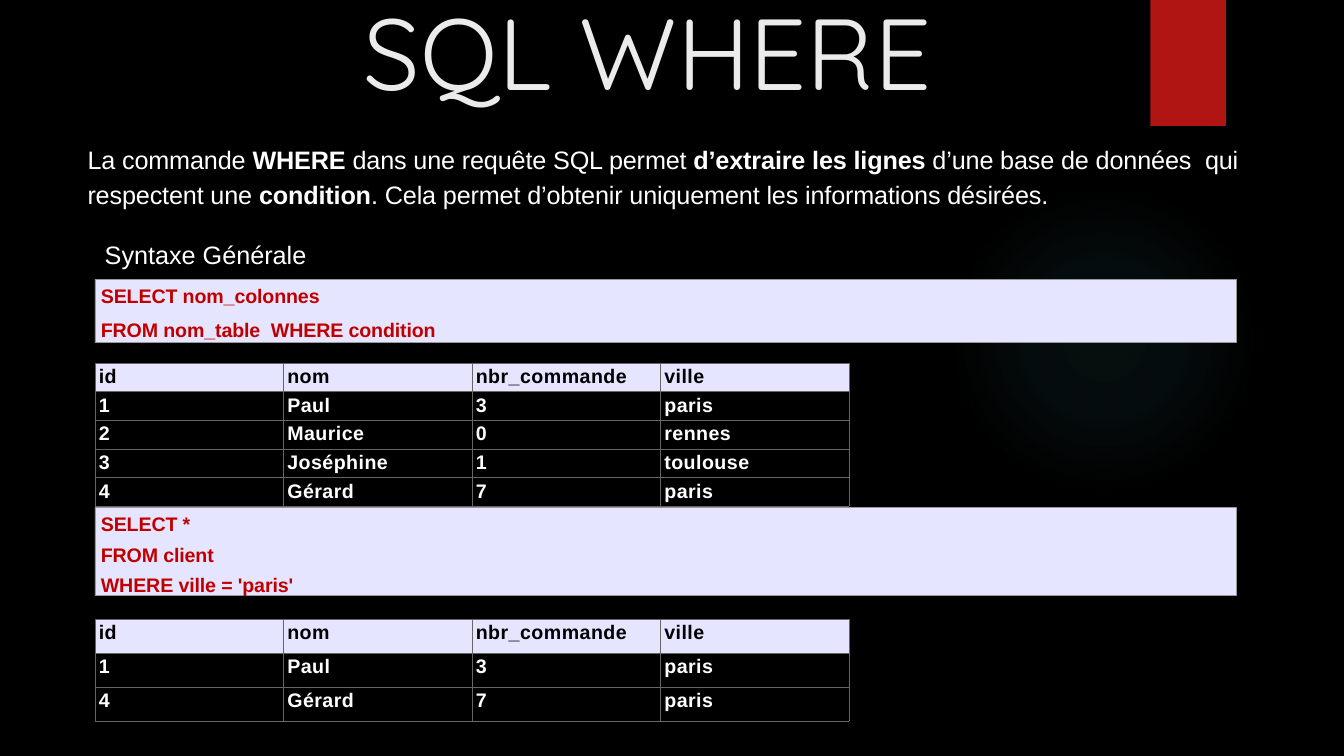
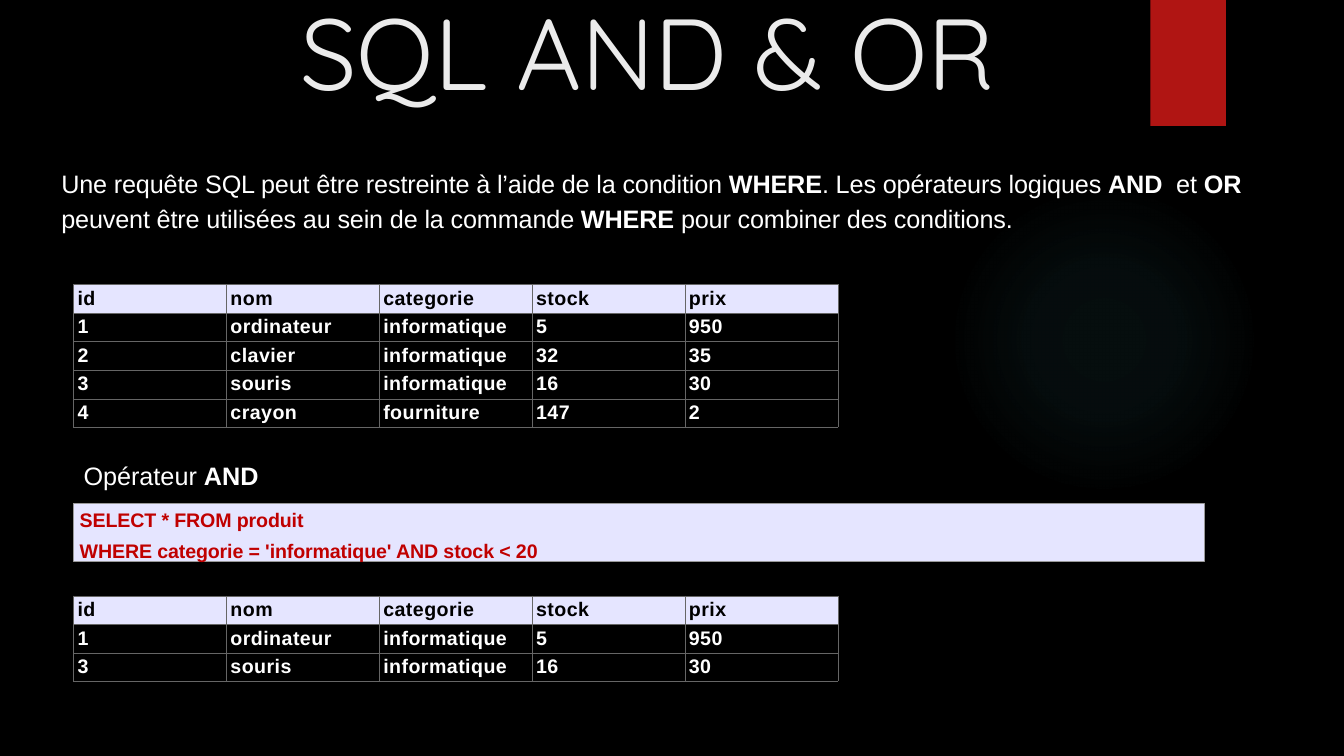
from dataclasses import dataclass

from pptx import Presentation
from pptx import util as u
from pptx.dml.color import RGBColor
from pptx.enum import shapes, text
from pptx.oxml import ns, parse_xml


@dataclass(frozen=True)
class Theme:
    """Colours, fonts and type sizes of the deck."""

    background: str = "000000"
    title: str = "EBEBEB"
    prose: str = "FFFFFF"
    code: str = "C00000"
    header: str = "000000"
    panel: str = "E5E5FF"
    panel_line: str = "999999"
    grid: str = "666666"
    band: str = "B01513"
    glow: str = "50B9C1"
    title_font: str = "Quicksand"
    body_font: str = "Arial"
    title_size: int = 72
    prose_size: int = 18
    code_size: int = 14
    hairline: float = 0.25


T = Theme()
A = ns.nsdecls("a")


def rgb(value):
    """Turn a hex string into a colour."""
    return RGBColor.from_string(value)


def inches(*values):
    """Convert a row of numbers to lengths."""
    return [u.Inches(v) for v in values]


def set_margins(frame, left, top):
    """Set the left and top margins and clear the other two."""
    frame.margin_left, frame.margin_top = inches(left, top)
    frame.margin_right = frame.margin_bottom = 0


def add_runs(p, marked, size, color, bold=False, spacing=0):
    """Write text run by run; parts between ** are bold."""
    for i, part in enumerate(marked.split("**")):
        if not part:
            continue
        r = p.add_run()
        r.text = part
        r.font.name = T.body_font
        r.font.size = u.Pt(size)
        r.font.bold = bold or i % 2 == 1
        r.font.color.rgb = rgb(color)
        r.font._element.set("spc", str(round(spacing * 100)))


def add_plain_shape(s, kind, box):
    """Add a preset shape without outline or shadow."""
    sp = s.shapes.add_shape(kind, *inches(*box))
    sp.shadow.inherit = False
    sp.line.fill.background()
    return sp


def fill_glow(sp):
    """Give a shape a faint round glow."""
    stops = "".join(
        f'<a:gs pos="{pos * 1000}"><a:srgbClr val="{T.glow}">'
        f'<a:alpha val="{alpha * 1000}"/></a:srgbClr></a:gs>'
        for pos, alpha in ((0, 7), (36, 6), (69, 0))
    )
    sp.fill.background()
    props = sp.element.spPr
    props.replace(
        props.find(ns.qn("a:noFill")),
        parse_xml(
            f'<a:gradFill {A}><a:gsLst>{stops}</a:gsLst><a:path path="circle">'
            '<a:fillToRect l="50000" t="50000" r="50000" b="50000"/>'
            "</a:path></a:gradFill>"
        ),
    )


def style_master(prs, layout, s):
    """Put the background, glow, band and title style on the master."""
    master = prs.slide_master
    master.background.fill.solid()
    master.background.fill.fore_color.rgb = rgb(T.background)

    glow = add_plain_shape(s, shapes.MSO_SHAPE.OVAL, (9.41, 1.83, 3.08, 3.08))
    fill_glow(glow)
    band = add_plain_shape(s, shapes.MSO_SHAPE.RECTANGLE, (11.41, 0, 0.75, 1.25))
    band.fill.solid()
    band.fill.fore_color.rgb = rgb(T.band)
    for i, sp in enumerate((glow, band)):
        sp.element.nvSpPr.cNvPr.set("id", str(100 + i))
        master.shapes.element.insert(2 + i, sp.element)

    style = master.element.find(
        "/".join(map(ns.qn, ("p:txStyles", "p:titleStyle", "a:lvl1pPr", "a:defRPr")))
    )
    style.set("sz", str(T.title_size * 100))
    style.find(ns.qn("a:latin")).set("typeface", T.title_font)
    style.replace(
        style.find(ns.qn("a:solidFill")),
        parse_xml(f'<a:solidFill {A}><a:srgbClr val="{T.title}"/></a:solidFill>'),
    )
    title = layout.placeholders[0]
    title.left, title.top, title.width, title.height = inches(1.47, 0.21, 9.91, 0.94)
    title.text_frame.vertical_anchor = text.MSO_ANCHOR.BOTTOM
    title.text_frame.auto_size = text.MSO_AUTO_SIZE.NONE


def add_title(s, wording):
    """Fill the title placeholder."""
    s.shapes.title.text_frame.paragraphs[0].add_run().text = wording


def add_prose(s, box, marked, line_spacing=1.0, spacing=0):
    """Add a paragraph of white text in a box."""
    tf = s.shapes.add_textbox(*inches(*box)).text_frame
    tf.word_wrap = True
    p = tf.paragraphs[0]
    p.line_spacing = line_spacing
    add_runs(p, marked, T.prose_size, T.prose, spacing=spacing)


def add_code(s, box, lines, gap=5.1):
    """Add a lavender panel holding lines of SQL."""
    sp = add_plain_shape(s, shapes.MSO_SHAPE.RECTANGLE, box)
    sp.fill.solid()
    sp.fill.fore_color.rgb = rgb(T.panel)
    sp.line.color.rgb = rgb(T.panel_line)
    sp.line.width = u.Pt(T.hairline)
    tf = sp.text_frame
    tf.word_wrap = True
    tf.vertical_anchor = text.MSO_ANCHOR.TOP
    set_margins(tf, 0.06, 0.05)
    for i, line in enumerate(lines):
        p = tf.add_paragraph() if i else tf.paragraphs[0]
        p.alignment = text.PP_ALIGN.LEFT
        if i:
            p.space_before = u.Pt(gap)
        add_runs(p, line, T.code_size, T.code, bold=True, spacing=-0.1)


def add_borders(cell):
    """Draw thin grey lines on the four sides of a cell."""
    props = cell._tc.get_or_add_tcPr()
    for side in "LRTB":
        props.append(
            parse_xml(
                f'<a:ln{side} {A} w="{u.Pt(T.hairline)}"><a:solidFill>'
                f'<a:srgbClr val="{T.grid}"/></a:solidFill></a:ln{side}>'
            )
        )


def add_data_table(s, box, rows):
    """Add a grid of equal cells with a lavender header row."""
    table = s.shapes.add_table(len(rows), len(rows[0]), *inches(*box)).table
    table.first_row = table.horz_banding = False
    for i, row in enumerate(rows):
        for j, value in enumerate(row):
            cell = table.cell(i, j)
            set_margins(cell, 0.04, 0.03)
            add_borders(cell)
            if i:
                cell.fill.background()
            else:
                cell.fill.solid()
                cell.fill.fore_color.rgb = rgb(T.panel)
            add_runs(
                cell.text_frame.paragraphs[0],
                value,
                T.code_size,
                T.prose if i else T.header,
                bold=True,
                spacing=0.3,
            )


def build_where(s):
    """Lay out the WHERE slide."""
    left, code_width, table_width = 0.94, 11.32, 7.48
    clients = [
        ("id", "nom", "nbr_commande", "ville"),
        ("1", "Paul", "3", "paris"),
        ("2", "Maurice", "0", "rennes"),
        ("3", "Joséphine", "1", "toulouse"),
        ("4", "Gérard", "7", "paris"),
    ]
    in_paris = [r for r in clients if r[3] in ("ville", "paris")]
    add_title(s, "SQL WHERE")
    add_prose(
        s,
        (0.77, 1.34, 12.13, 0.77),
        "La commande **WHERE** dans une requête SQL permet **d’extraire les lignes "
        "**d’une base de données  qui respectent une **condition**. Cela permet "
        "d’obtenir uniquement les informations désirées.",
        1.15,
        -0.1,
    )
    add_prose(s, (left, 2.33, 2.29, 0.4), "Syntaxe Générale")
    add_code(
        s,
        (left, 2.77, code_width, 0.63),
        ["SELECT nom_colonnes", "FROM nom_table  WHERE condition"],
        gap=7.6,
    )
    add_data_table(s, (left, 3.6, table_width, 1.42), clients)
    add_code(
        s,
        (left, 5.03, code_width, 0.88),
        ["SELECT *", "FROM client", "WHERE ville = 'paris'"],
    )
    add_data_table(s, (left, 6.14, table_width, 1.01), in_paris)


def build_and_or(s):
    """Lay out the AND & OR slide."""
    left, table_width = 0.73, 7.58
    products = [
        ("id", "nom", "categorie", "stock", "prix"),
        ("1", "ordinateur", "informatique", "5", "950"),
        ("2", "clavier", "informatique", "32", "35"),
        ("3", "souris", "informatique", "16", "30"),
        ("4", "crayon", "fourniture", "147", "2"),
    ]
    low_stock = [r for r in products if r[3] in ("stock", "5", "16")]
    add_title(s, "SQL AND & OR")
    add_prose(
        s,
        (0.51, 1.58, 12.13, 0.8),
        "Une requête SQL peut être restreinte à l’aide de la condition **WHERE**. "
        "Les opérateurs logiques **AND  **et **OR** peuvent être utilisées au sein "
        "de la commande **WHERE **pour combiner des conditions.",
        1.15,
        -0.1,
    )
    add_data_table(s, (left, 2.82, table_width, 1.42), products)
    add_prose(s, (left, 4.52, 2.09, 0.4), "Opérateur **AND**")
    add_code(
        s,
        (left, 4.99, 11.21, 0.58),
        ["SELECT * FROM produit", "WHERE categorie = 'informatique' AND stock < 20"],
    )
    add_data_table(s, (left, 5.91, table_width, 0.85), low_stock)


def main():
    """Build and save the deck."""
    prs = Presentation()
    prs.slide_width, prs.slide_height = inches(13.33, 7.5)
    layout = prs.slide_layouts.get_by_name("Title Only")
    for i, build in enumerate((build_where, build_and_or)):
        s = prs.slides.add_slide(layout)
        if i == 0:
            style_master(prs, layout, s)
        build(s)
    prs.save("out.pptx")


if __name__ == "__main__":
    main()
